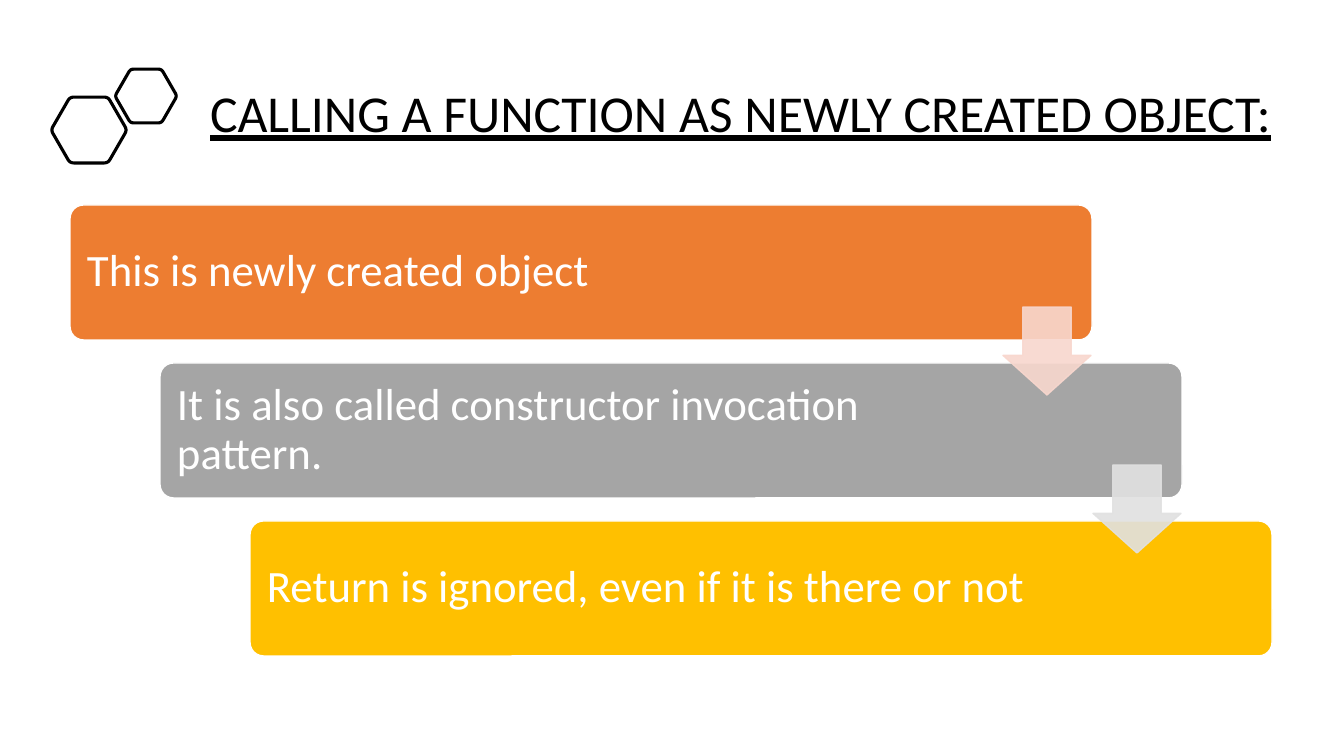
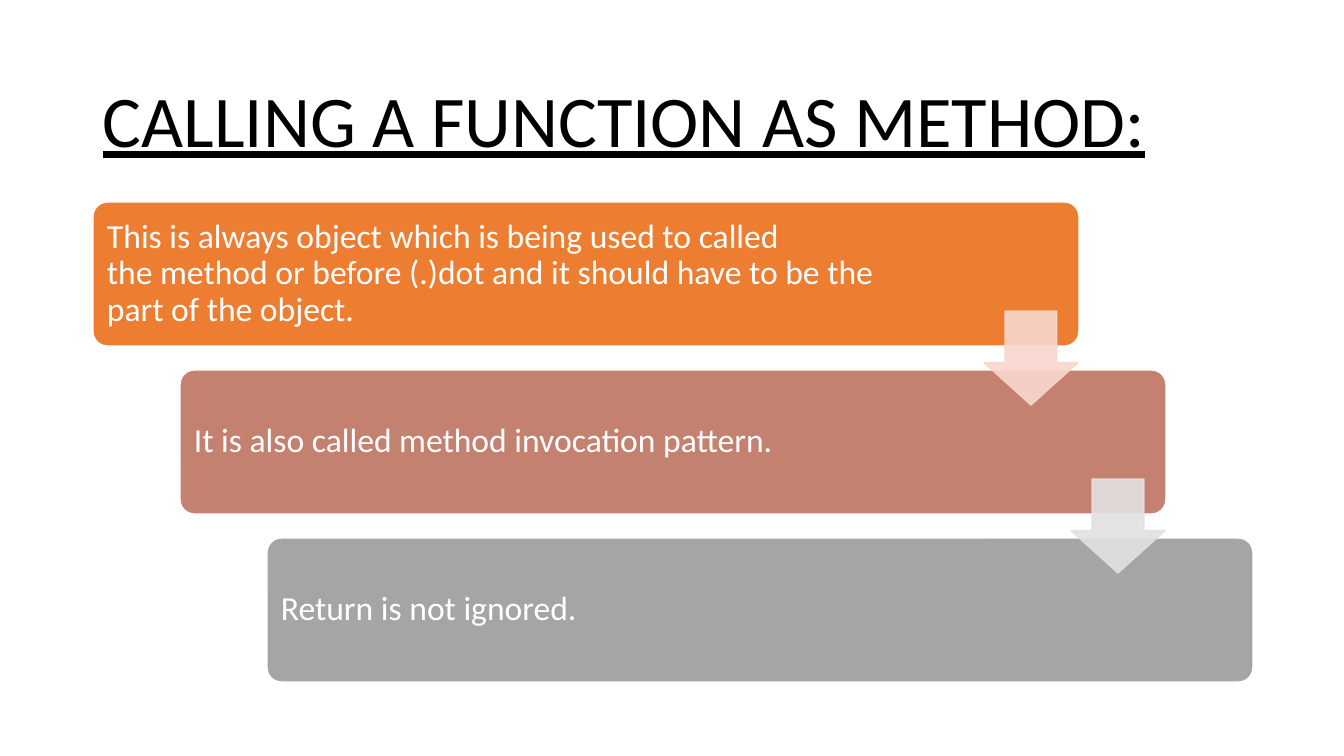
import math

import lxml.etree
import pptx
import pptx.dml.color
import pptx.enum.shapes
import pptx.enum.text
import pptx.oxml.ns
import pptx.util

FONT = "Calibri"
SCALE = 914400 / 100.8
SHAPE = pptx.enum.shapes.MSO_SHAPE
COLORS = {
    "ink": "000000",
    "white": "FFFFFF",
    "orange": "ED7D31",
    "rose": "C48170",
    "gray": "A5A5A5",
    "gold": "FFC000",
    "blush": "F8D7CE",
    "silver": "E1E1E1",
}
ARROWS = ["blush", "silver"]


def px(count):
    """Turn pixels into EMU."""
    return pptx.util.Emu(round(count * SCALE))


def rgb(name):
    """Look up a named colour."""
    return pptx.dml.color.RGBColor.from_string(COLORS[name])


def write(frame, text, size, color, pad, under=False):
    """Put one left-aligned paragraph in a text frame; pad is (x, y)."""
    frame.word_wrap = True
    frame.auto_size = pptx.enum.text.MSO_AUTO_SIZE.NONE
    frame.vertical_anchor = pptx.enum.text.MSO_ANCHOR.MIDDLE
    frame.margin_left = frame.margin_right = px(pad[0])
    frame.margin_top = frame.margin_bottom = px(pad[1])
    para = frame.paragraphs[0]
    para.alignment = pptx.enum.text.PP_ALIGN.LEFT
    para.line_spacing = 0.9
    run = para.add_run()
    run.text = text
    run.font.name = FONT
    run.font.size = pptx.util.Pt(size)
    run.font.color.rgb = rgb(color)
    run.font.underline = under


def add_page(deck, title, size, box):
    """Add a slide with an underlined title in the given box."""
    slide = deck.slides.add_slide(deck.slide_layouts[5])
    head = slide.shapes.title
    head.left, head.top, head.width, head.height = map(px, box)
    write(head.text_frame, title, size, "ink", (10, 5), under=True)
    return slide


def add_block(slide, kind, box, fill, line, adjust):
    """Add a filled preset shape with a thin outline."""
    block = slide.shapes.add_shape(kind, *map(px, box))
    block.shadow.inherit = False
    for index, value in enumerate(adjust):
        block.adjustments[index] = value
    block.fill.solid()
    block.fill.fore_color.rgb = rgb(fill)
    block.line.color.rgb = rgb(line)
    block.line.width = pptx.util.Pt(1)
    return block


def add_arrow(slide, left, top, side, color):
    """Add a square, slightly see-through down arrow."""
    box = (left, top, side, side)
    arrow = add_block(slide, SHAPE.DOWN_ARROW, box, color, color, [0.55, 0.45])
    qn = pptx.oxml.ns.qn
    for tint in arrow.fill._xPr.iter(qn("a:srgbClr")):
        lxml.etree.SubElement(tint, qn("a:alpha"), val="90000")


def add_stairs(slide, cards, box, step, texts, size, pad, side):
    """Add cards that step down to the right, joined by arrows.

    box is the first card, step the shift from card to card, and
    texts the text widths of the first card and of the later ones.
    """
    left, top, wide, high = box
    gap = 4
    for index, (text, color) in enumerate(cards):
        x, y = left + index * step[0], top + index * step[1]
        add_block(slide, SHAPE.ROUNDED_RECTANGLE, (x, y, wide, high),
                  color, "white", [0.1])
        area = (x + gap, y + gap, texts[min(index, 1)], high - 2 * gap)
        label = slide.shapes.add_textbox(*map(px, area))
        write(label.text_frame, text, size, "white", (pad, pad))
    drop = round(high * 0.755)
    for index, color in enumerate(ARROWS):
        x, y = left + index * step[0], top + index * step[1]
        add_arrow(slide, x + wide - side - 1, y + drop, side, color)


def add_hex(slide, mid_x, mid_y, radius):
    """Add an outlined hexagon with rounded corners."""
    tips = [(mid_x + radius * math.cos(math.radians(turn)),
             mid_y + radius * math.sin(math.radians(turn)))
            for turn in range(0, 360, 60)]
    cut, parts = 0.1, 6
    points = []
    for index, tip in enumerate(tips):
        last, after = tips[index - 1], tips[(index + 1) % len(tips)]
        for part in range(parts + 1):
            t = part / parts
            back, ahead = cut * (1 - t) ** 2, cut * t ** 2
            points.append(tuple(
                px(c + back * (a - c) + ahead * (b - c))
                for a, c, b in zip(last, tip, after)))
    pen = slide.shapes.build_freeform(*points[0], scale=1.0)
    pen.add_line_segments(points[1:], close=True)
    ring = pen.convert_to_shape()
    ring.shadow.inherit = False
    ring.fill.background()
    ring.line.color.rgb = rgb("ink")
    ring.line.width = pptx.util.Pt(2.25)


def main():
    """Build both slides and save the deck."""
    deck = pptx.Presentation()
    deck.slide_width, deck.slide_height = px(1344), px(756)

    slide = add_page(deck, "CALLING A FUNCTION AS NEWLY CREATED OBJECT:", 37,
                     (200, 57, 1090, 118))
    add_hex(slide, 89, 130, 38)
    add_hex(slide, 146, 96, 31)
    cards = [
        ("This is newly created\u00a0object", "orange"),
        ("It is also called constructor invocation pattern.", "gray"),
        ("Return is ignored, even if it is\u00a0there or not", "gold"),
    ]
    add_stairs(slide, cards, (70, 205, 1022, 135), (90, 158),
               (876, 836), size=32, pad=13, side=88)

    slide = add_page(deck, "CALLING A FUNCTION AS METHOD:", 52,
                     (93, 61, 1159, 125))
    cards = [
        ("This is always\u00a0object which\u00a0is being\u00a0used to\u00a0called "
         "the\u00a0method or before (.)dot and it should\u00a0have to be the "
         "part of the object.", "orange"),
        ("It is also called method invocation pattern.", "rose"),
        ("Return is not ignored.", "gray"),
    ]
    add_stairs(slide, cards, (93, 202, 986, 144), (87, 168),
               (830, 796), size=24, pad=10, side=94)

    deck.save("out.pptx")


main()
